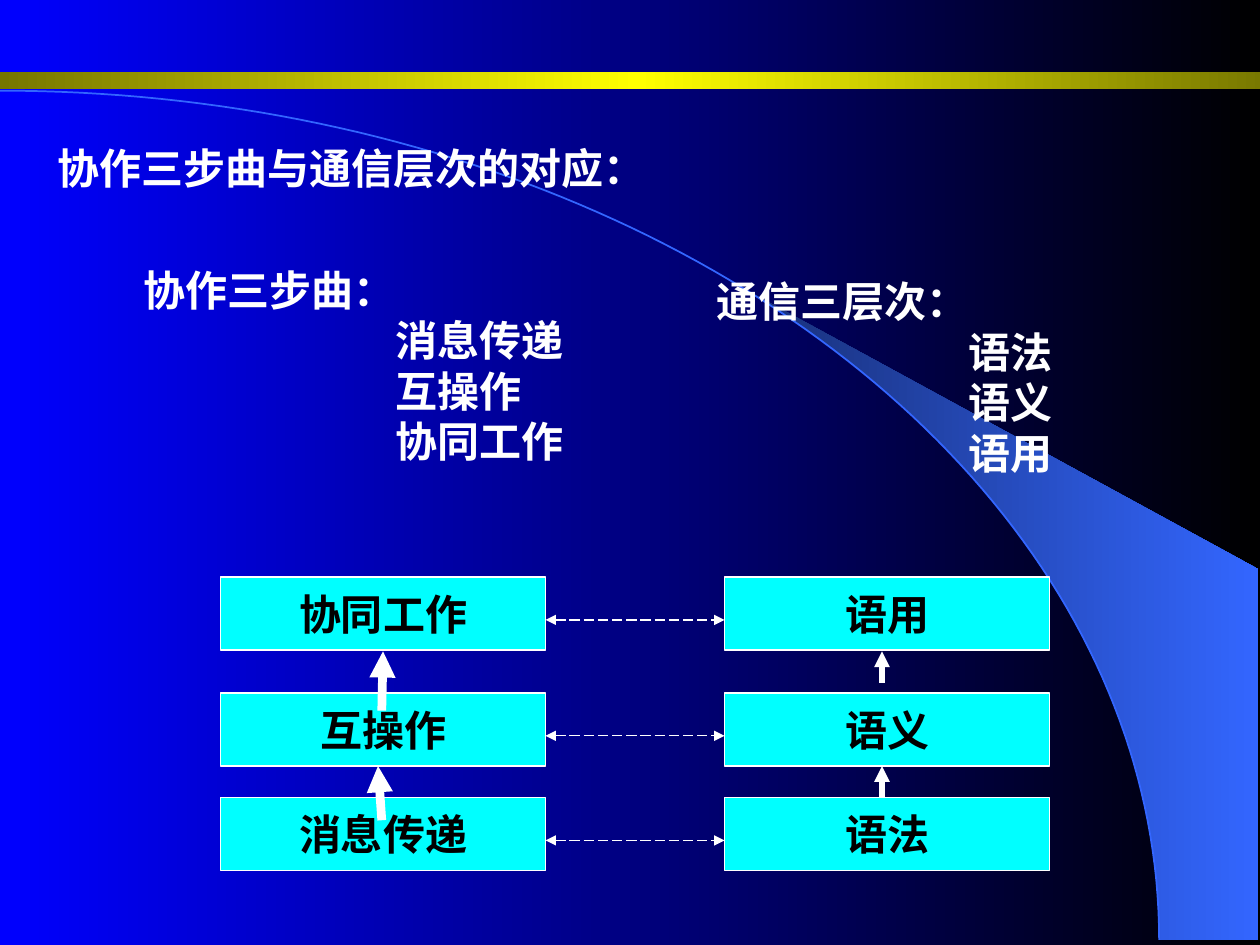
"""Build the slide matching the three steps of collaboration to communication layers."""
from copy import deepcopy
from math import asin, cos, pi, sin

from lxml.etree import SubElement
from pptx import Presentation
from pptx.dml.color import RGBColor
from pptx.enum.dml import MSO_LINE
from pptx.enum.shapes import MSO_CONNECTOR, MSO_SHAPE
from pptx.enum.text import MSO_ANCHOR, MSO_AUTO_SIZE, PP_ALIGN
from pptx.oxml.ns import qn
from pptx.util import Inches, Pt

BLACK = RGBColor(0x00, 0x00, 0x00)
WHITE = RGBColor(0xFF, 0xFF, 0xFF)
BLUE = RGBColor(0x00, 0x00, 0xFF)
NAVY = RGBColor(0x18, 0x2F, 0x76)
SKY = RGBColor(0x33, 0x66, 0xFF)
CYAN = RGBColor(0x00, 0xFF, 0xFF)
OLIVE = RGBColor(0x76, 0x76, 0x00)
YELLOW = RGBColor(0xFF, 0xFF, 0x00)

TITLE = (0.36, 1.08, 4.86, 0.5, "协作三步曲与通信层次的对应：", [])
LISTS = [
    (5.59, 2.14, 2.86, 1.7, "通信三层次：", ["语法", "语义", "语用"]),
    (1.04, 2.05, 3.53, 1.7, "协作三步曲：", ["消息传递", "互操作", "协同工作"]),
]
STACKS = [
    (1.75, ["协同工作", "互操作", "消息传递"]),
    (5.75, ["语用", "语义", "语法"]),
]
ROW_TOPS = [4.58, 5.5, 6.33]
BOX_WIDTH, BOX_HEIGHT = 2.58, 0.58
LINK_DROP = 0.34
RISES = [
    (3.03, 6.51, 3, 6.08, 5),
    (3.03, 5.64, 3.04, 5.17, 5),
    (7, 6.33, 7, 6.08, 3),
    (7, 5.42, 7, 5.17, 3),
]
LIST_INDENT = 2
ARC_WIDTH, ARC_HEIGHT, ARC_BASE = 9.2, 6.74, 7.46
WEDGE_LEFT, WEDGE_RIGHT, WEDGE_TOP = 5.89, 9.99, 4.52


def shade(fill, first, last):
    fill.gradient()
    fill.gradient_angle = 0
    for stop, colour, position in zip(fill.gradient_stops, (first, last), (0, 1)):
        stop.color.rgb = colour
        stop.position = position


def arc_points(start, steps):
    angles = [start + (pi / 2 - start) * step / steps for step in range(steps + 1)]
    return [(ARC_WIDTH * sin(a), ARC_BASE - ARC_HEIGHT * cos(a)) for a in angles]


def add_outline(page, points, close):
    first, *rest = [(Inches(x), Inches(y)) for x, y in points]
    builder = page.shapes.build_freeform(*first)
    builder.add_line_segments(rest, close=close)
    outline = builder.convert_to_shape()
    outline.shadow.inherit = False
    return outline


def add_backdrop(page):
    shade(page.background.fill, BLUE, BLACK)
    edge = arc_points(asin(WEDGE_LEFT / ARC_WIDTH), 24)
    corners = [(WEDGE_RIGHT, ARC_BASE), (WEDGE_RIGHT, WEDGE_TOP)]
    wedge = add_outline(page, edge + corners, True)
    shade(wedge.fill, NAVY, SKY)
    wedge.line.fill.background()

    arc = add_outline(page, arc_points(0, 90), False)
    arc.fill.background()
    arc.line.color.rgb = SKY
    arc.line.width = Pt(1)

    bar = page.shapes.add_shape(
        MSO_SHAPE.RECTANGLE, 0, Inches(0.57), Inches(10.11), Inches(0.14))
    bar.shadow.inherit = False
    bar.line.fill.background()
    shade(bar.fill, YELLOW, OLIVE)
    first_stop = next(bar._element.spPr.iter(qn("a:gs")))
    first_stop.addprevious(deepcopy(first_stop))
    first_stop.set("pos", "50000")
    bar.fill.gradient_stops[0].color.rgb = OLIVE


def style(para, colour):
    para.font.name = "Times New Roman"
    para.font.size = Pt(24)
    para.font.bold = True
    para.font.color.rgb = colour


def add_list(page, left, top, width, height, heading, items):
    frame = page.shapes.add_textbox(*map(Inches, (left, top, width, height))).text_frame
    frame.word_wrap = True
    frame.auto_size = MSO_AUTO_SIZE.NONE
    frame.margin_right = 0
    frame.text = "\n".join([heading, *items])
    for para in frame.paragraphs:
        style(para, WHITE)
    for para in frame.paragraphs[1:]:
        properties = para._p.get_or_add_pPr()
        properties.set("marL", str(Inches(LIST_INDENT)))
        properties.set("indent", "0")


def add_box(page, left, top, text):
    box = page.shapes.add_shape(
        MSO_SHAPE.RECTANGLE, *map(Inches, (left, top, BOX_WIDTH, BOX_HEIGHT)))
    box.shadow.inherit = False
    box.fill.solid()
    box.fill.fore_color.rgb = CYAN
    box.line.color.rgb = WHITE
    box.line.width = Pt(0.75)
    frame = box.text_frame
    frame.word_wrap = False
    frame.vertical_anchor = MSO_ANCHOR.MIDDLE
    frame.text = text
    para = frame.paragraphs[0]
    para.alignment = PP_ALIGN.CENTER
    style(para, BLACK)


def add_arrow(page, ends, width, heads=("tailEnd",), dash=None):
    arrow = page.shapes.add_connector(MSO_CONNECTOR.STRAIGHT, *map(Inches, ends))
    arrow.line.color.rgb = WHITE
    arrow.line.width = Pt(width)
    if dash is not None:
        arrow.line.dash_style = dash
    for head in heads:
        SubElement(arrow.line._get_or_add_ln(), qn(f"a:{head}"), type="triangle")
    SubElement(arrow._element.spPr, qn("a:effectLst"))


def main():
    deck = Presentation()
    deck.slide_width, deck.slide_height = Inches(10), Inches(7.5)
    page = deck.slides.add_slide(deck.slide_layouts[6])
    add_backdrop(page)
    for block in [TITLE, *LISTS]:
        add_list(page, *block)
    for left, labels in STACKS:
        for top, label in zip(ROW_TOPS, labels):
            add_box(page, left, top, label)
    link_start, link_end = STACKS[0][0] + BOX_WIDTH, STACKS[1][0]
    for top in ROW_TOPS:
        level = top + LINK_DROP
        add_arrow(page, (link_start, level, link_end, level), 0.75,
                  ("headEnd", "tailEnd"), MSO_LINE.LONG_DASH)
    for *ends, width in RISES:
        add_arrow(page, ends, width)
    deck.save("out.pptx")


if __name__ == "__main__":
    main()
